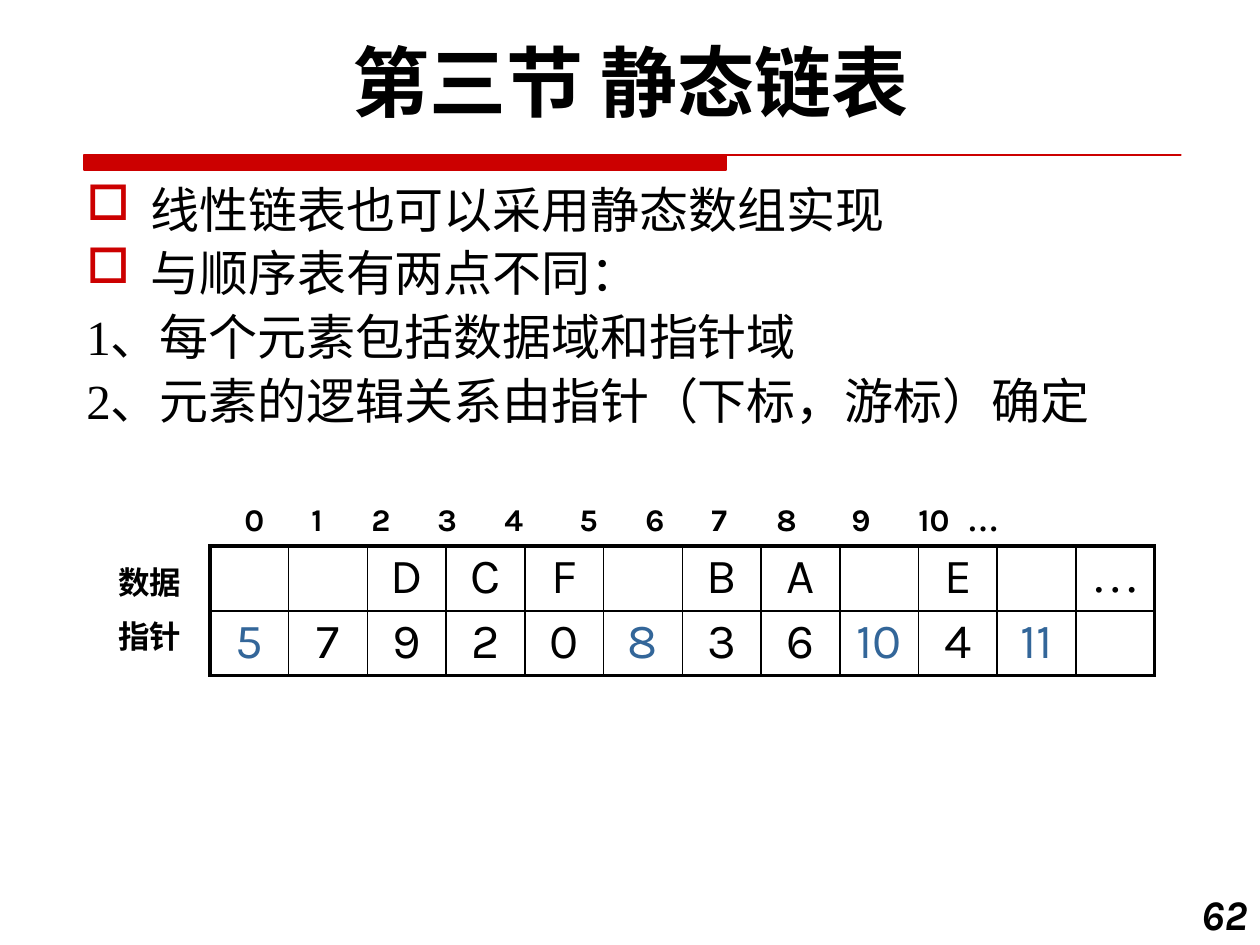
from lxml.etree import SubElement
from pptx import Presentation
from pptx.dml.color import RGBColor
from pptx.enum.text import MSO_ANCHOR, MSO_AUTO_SIZE, PP_ALIGN
from pptx.oxml.ns import qn
from pptx.util import Emu, Pt

SCALE = 914400 / 126
BLACK, RED, BLUE = "000000", "CC0000", "336699"
SANS, SERIF = "Karla", "Times New Roman"
INDEX_STOPS = [67, 127, 193, 260, 335, 401, 467, 532, 607, 674, 723]
DATA = ["", "", "D", "C", "F", "", "B", "A", "", "E", "", "…"]
POINTERS = ["5", "7", "9", "2", "0", "8", "3", "6", "10", "4", "11", ""]
FREE_POINTERS = {"5", "8", "10", "11"}


def px(length):
    """Turn pixels into EMU."""
    return Emu(round(length * SCALE))


def rgb(value):
    """Turn a hex string into a colour."""
    return RGBColor.from_string(value)


def place(shape, left, top, width, height):
    """Set the position and size of a shape in pixels."""
    shape.left, shape.top = px(left), px(top)
    shape.width, shape.height = px(width), px(height)


def style(para, size, font=SANS, color=BLACK, bold=False, italic=False, align=PP_ALIGN.LEFT):
    """Format a paragraph and its runs; an ellipsis is set in the serif face."""
    para.alignment = align
    for span in para.runs:
        span.font.name = SERIF if span.text == "…" else font
        span.font.size = Pt(size)
        span.font.bold, span.font.italic = bold, italic
        span.font.color.rgb = rgb(color)


def add_text(page, area, lines, size, gap=0, **look):
    """Add a text box with one styled paragraph per line."""
    box = page.shapes.add_textbox(*map(px, area))
    frame = box.text_frame
    frame.word_wrap = True
    frame.text = "\n".join(lines)
    for number, para in enumerate(frame.paragraphs):
        para.space_before = Pt(gap if number else 0)
        style(para, size, **look)
    return frame


def set_title(page, text):
    """Fill, move and format the title placeholder."""
    title = page.shapes.title
    place(title, 48, 28, 1166, 106)
    frame = title.text_frame
    frame.text = text
    frame.auto_size = MSO_AUTO_SIZE.NONE
    frame.vertical_anchor = MSO_ANCHOR.TOP
    style(frame.paragraphs[0], 44, bold=True, align=PP_ALIGN.CENTER)


def add_title_rule(page):
    """Draw the red bar that runs on as a thin line."""
    left, top, bar_end, right, bottom = 84, 155, 726, 1181, 170
    builder = page.shapes.build_freeform(left, top, SCALE)
    builder.add_line_segments([(right, top), (bar_end, top), (bar_end, bottom), (left, bottom)])
    rule = builder.convert_to_shape()
    rule.shadow.inherit = False
    rule.fill.solid()
    rule.fill.fore_color.rgb = rgb(RED)
    rule.line.color.rgb = rgb(RED)
    rule.line.width = Pt(0.75)


def hang(para, bullet):
    """Give a paragraph a hanging indent and, if asked, a red square bullet."""
    props = para._p.get_or_add_pPr()
    props.set("marL", str(px(64)))
    props.set("indent", str(-px(64)))
    if bullet:
        color = SubElement(props, qn("a:buClr"))
        SubElement(color, qn("a:srgbClr"), val=RED)
        SubElement(props, qn("a:buChar"), char="□")


def add_points(page):
    """Add two bulleted points and two numbered ones."""
    lines = ["线性链表也可以采用静态数组实现", "与顺序表有两点不同：",
             "1、每个元素包括数据域和指针域", "2、元素的逻辑关系由指针（下标，游标）确定"]
    frame = add_text(page, (74, 173, 1207, 282), lines, 28, gap=2.8, font=SERIF)
    for number, para in enumerate(frame.paragraphs):
        hang(para, bullet=number < 2)


def add_indices(page):
    """Add the array indices above the table, set on tab stops."""
    labels = "\t".join(map(str, range(11))) + "\t"
    frame = add_text(page, (232, 494, 892, 50), [labels], 18, bold=True)
    para = frame.paragraphs[0]
    para.add_run().text = "…"
    style(para, 18, bold=True)
    stops = SubElement(para._p.get_or_add_pPr(), qn("a:tabLst"))
    for stop in INDEX_STOPS:
        SubElement(stops, qn("a:tab"), pos=str(px(stop)), algn="l")


def set_borders(cell, widths):
    """Draw the left, right, top and bottom borders of a cell."""
    props = cell._tc.get_or_add_tcPr()
    for place_in_list, (side, width) in enumerate(zip("LRTB", widths)):
        line = props.makeelement(qn(f"a:ln{side}"), {"w": str(Pt(width))})
        fill = SubElement(line, qn("a:solidFill"))
        SubElement(fill, qn("a:srgbClr"), val=BLACK)
        props.insert(place_in_list, line)


def add_array(page):
    """Add the table of data and pointers with a heavy outer border."""
    rows = [DATA, POINTERS]
    last_row, last_col = len(rows) - 1, len(DATA) - 1
    area = map(px, (210, 546, 945, 128))
    table = page.shapes.add_table(len(rows), len(DATA), *area).table
    table.first_row = table.horz_banding = False
    for r, values in enumerate(rows):
        for c, value in enumerate(values):
            cell = table.cell(r, c)
            cell.fill.background()
            cell.margin_left = cell.margin_right = px(13)
            cell.margin_top = cell.margin_bottom = px(3)
            cell.text = value
            color = BLUE if value in FREE_POINTERS else BLACK
            style(cell.text_frame.paragraphs[0], 28, color=color, align=PP_ALIGN.CENTER)
            outer = (c == 0, c == last_col, r == 0, r == last_row)
            set_borders(cell, [2.25 if edge else 1 for edge in outer])


def main():
    """Build the slide and save it."""
    deck = Presentation()
    deck.slide_width, deck.slide_height = px(1260), px(945)
    page = deck.slides.add_slide(deck.slide_layouts[5])
    set_title(page, "第三节 静态链表")
    add_title_rule(page)
    add_text(page, (1176, 882, 84, 63), ["62"], 24, bold=True, italic=True, align=PP_ALIGN.RIGHT)
    add_points(page)
    add_array(page)
    add_indices(page)
    add_text(page, (106, 557, 116, 107), ["数据", "指针"], 18, gap=9, bold=True)
    deck.save("out.pptx")


if __name__ == "__main__":
    main()
